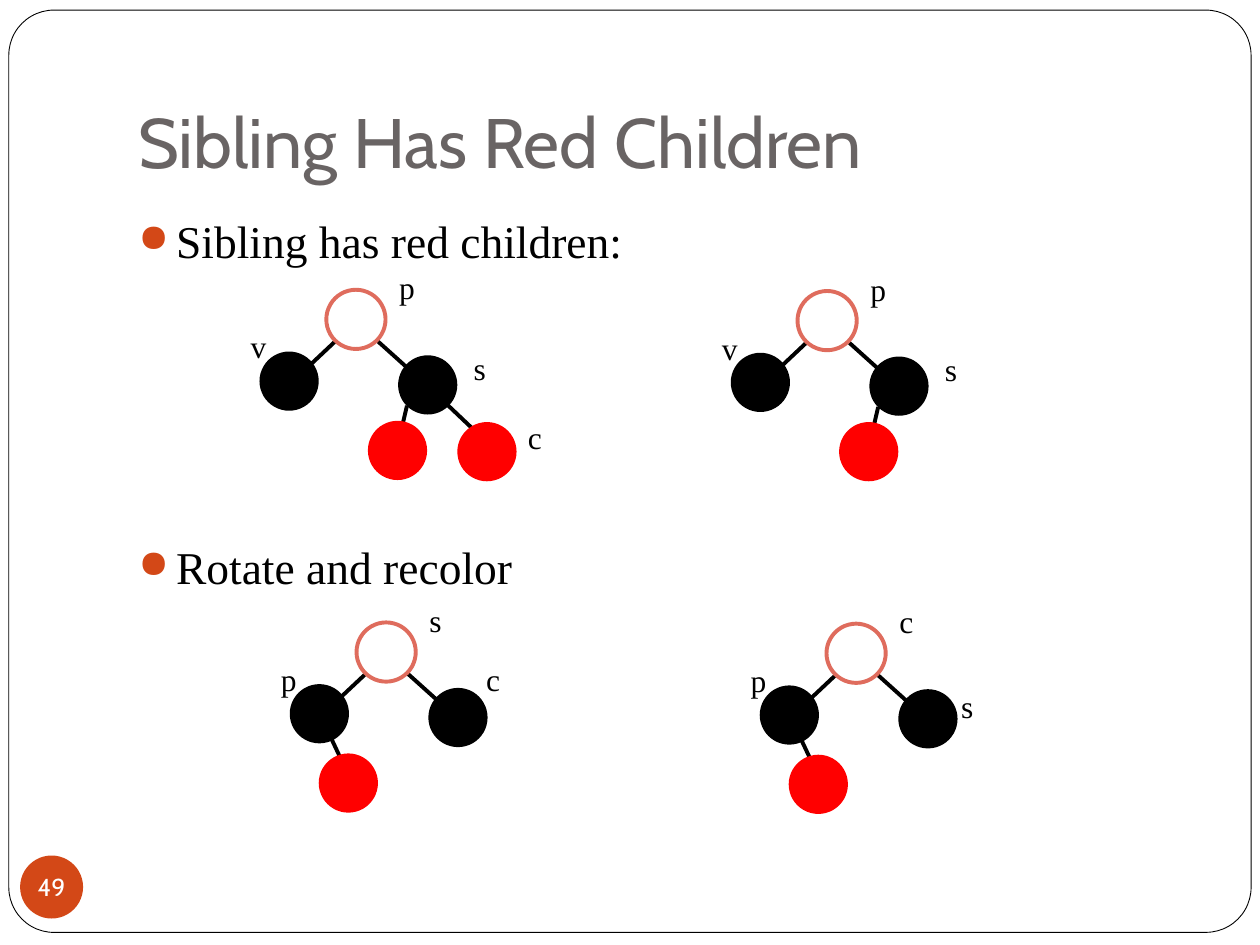
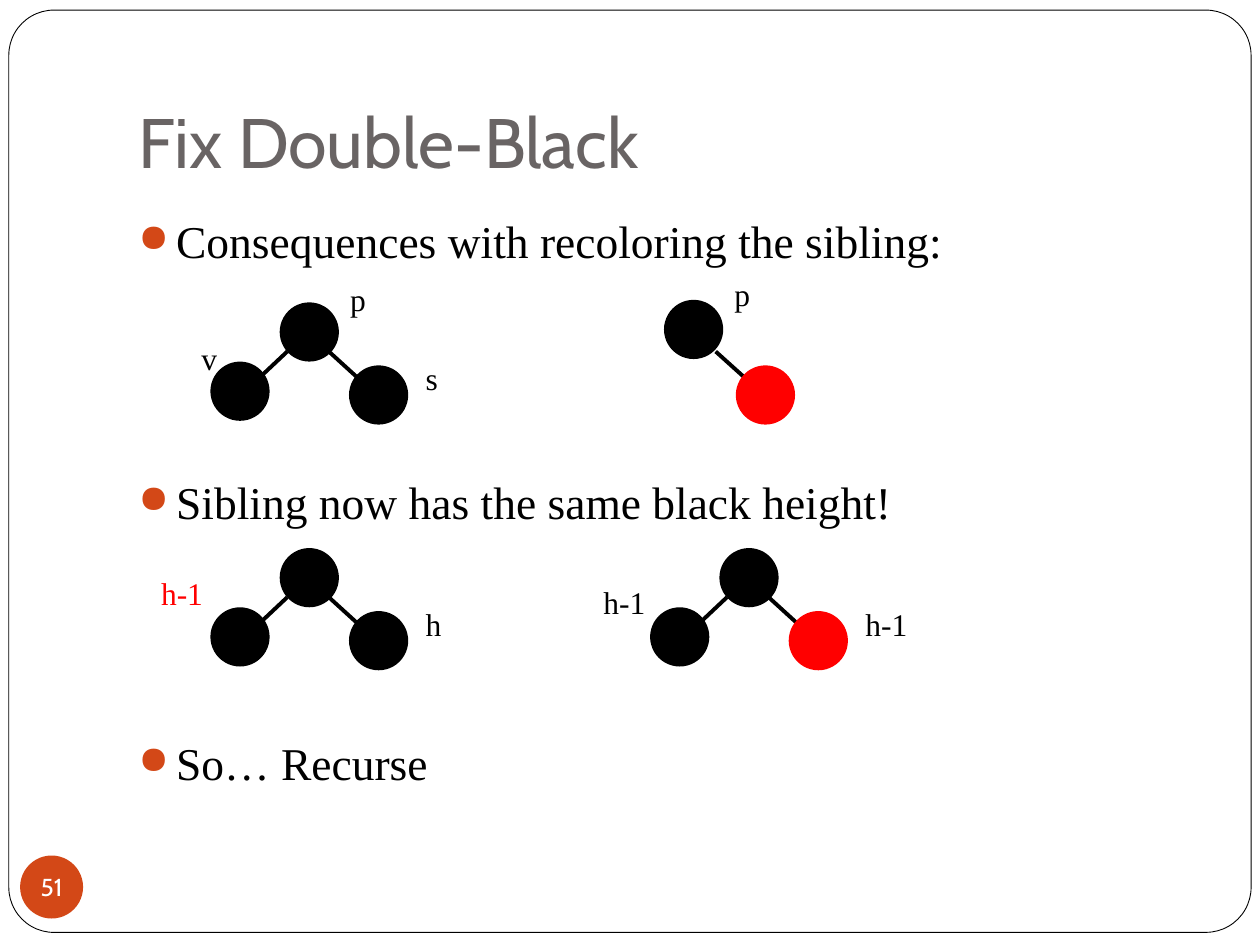
from lxml.etree import SubElement
from pptx import Presentation
from pptx.dml.color import RGBColor
from pptx.enum.shapes import MSO_CONNECTOR, MSO_SHAPE
from pptx.enum.text import MSO_ANCHOR, PP_ALIGN
from pptx.oxml.ns import qn
from pptx.util import Inches, Pt

BLACK, RED, WHITE = "000000", "FF0000", "FFFFFF"
ACCENT, GREY, HOLLOW = "D34817", "696464", "DF6C5D"
HEADING_FONT, BODY_FONT = "Cabin", "Times New Roman"
NODE_SIZE = 0.47
BODY_GAP, BLANK_LINE = 5.8, 37.4

# Each place: node offset from the root, then the start and end of its edge
WIDE = {
    "root": ((0, 0), None),
    "left": ((-0.53, 0.49), ((0.07, 0.41), (-0.27, 0.73))),
    "right": ((0.57, 0.52), ((0.41, 0.41), (0.81, 0.77))),
    "left left": ((-0.3, 1.04), ((-0.3, 0.71), (-0.06, 1.22))),
    "right left": ((0.33, 1.04), ((0.64, 0.92), (0.57, 1.22))),
    "right right": ((1.04, 1.05), ((0.81, 0.77), (1.39, 1.32))),
}
NARROW = {
    "root": ((0, 0), None),
    "left": ((-0.55, 0.47), ((0.06, 0.39), (-0.28, 0.71))),
    "right": ((0.55, 0.5), ((0.39, 0.39), (0.73, 0.7))),
}


def color(value):
    return RGBColor.from_string(value)


def write(para, text, size=18, font=BODY_FONT, fill=BLACK, align=PP_ALIGN.LEFT):
    para.alignment = align
    span = para.add_run()
    span.text = text
    span.font.size = Pt(size)
    span.font.name = font
    span.font.color.rgb = color(fill)


class TreeDeck:
    def __init__(self):
        self.deck = Presentation()
        self.deck.slide_width, self.deck.slide_height = Inches(10), Inches(7.5)
        self.page = None

    def start_page(self, title, number):
        self.page = self.deck.slides.add_slide(self.deck.slide_layouts[6])
        frame = self.shape(MSO_SHAPE.ROUNDED_RECTANGLE, 0.07, 0.08, 9.86, 7.32, WHITE, BLACK, 0.5)
        frame.adjustments[0] = 0.049
        heading = self.text_box(1, 0.3, 8.5, 1.25)
        heading.vertical_anchor = MSO_ANCHOR.BOTTOM
        heading.margin_bottom = Inches(0.1)
        write(heading.paragraphs[0], title, size=40, font=HEADING_FONT, fill=GREY)
        badge = self.shape(MSO_SHAPE.OVAL, 0.16, 6.79, 0.5, 0.5, ACCENT).text_frame
        badge.margin_left = badge.margin_right = badge.margin_top = badge.margin_bottom = 0
        badge.word_wrap = False
        badge.vertical_anchor = MSO_ANCHOR.MIDDLE
        write(badge.paragraphs[0], number, size=14, font=HEADING_FONT, fill=WHITE,
              align=PP_ALIGN.CENTER)

    def shape(self, kind, x, y, width, height, fill=None, line=None, weight=2.25):
        shape = self.page.shapes.add_shape(kind, Inches(x), Inches(y), Inches(width), Inches(height))
        shape.shadow.inherit = False
        if fill:
            shape.fill.solid()
            shape.fill.fore_color.rgb = color(fill)
        else:
            shape.fill.background()
        if line:
            shape.line.color.rgb = color(line)
            shape.line.width = Pt(weight)
        else:
            shape.line.fill.background()
        return shape

    def text_box(self, x, y, width, height):
        box = self.page.shapes.add_textbox(Inches(x), Inches(y), Inches(width), Inches(height))
        box.text_frame.word_wrap = True
        return box.text_frame

    def bullets(self, items, blank_lines):
        body = self.text_box(1, 1.64, 8.5, 4.94)
        for index, item in enumerate(items):
            para = body.add_paragraph() if index else body.paragraphs[0]
            props = para._p.get_or_add_pPr()
            props.set("marL", str(Inches(0.3)))
            props.set("indent", str(Inches(-0.3)))
            tint = SubElement(props, qn("a:buClr"))
            SubElement(tint, qn("a:srgbClr")).set("val", ACCENT)
            SubElement(props, qn("a:buSzPct")).set("val", "85000")
            SubElement(props, qn("a:buChar")).set("char", "●")
            if index:
                para.space_before = Pt(BODY_GAP + blank_lines * BLANK_LINE)
            write(para, item, size=26)

    def edge(self, start, end):
        line = self.page.shapes.add_connector(MSO_CONNECTOR.STRAIGHT, *map(Inches, start + end))
        line.line.color.rgb = color(BLACK)
        line.line.width = Pt(2.25)
        SubElement(line._element.spPr, qn("a:effectLst"))

    def node(self, x, y, fill):
        hollow = fill == HOLLOW
        self.shape(MSO_SHAPE.OVAL, x, y, NODE_SIZE, NODE_SIZE,
                   None if hollow else fill, HOLLOW if hollow else None)

    def label(self, x, y, text, fill=BLACK):
        box = self.text_box(x, y, 0.42 if len(text) == 1 else 0.72, 0.4)
        write(box.paragraphs[0], text, fill=fill)

    def tree(self, x, y, places, nodes, labels):
        for place in nodes:
            if places[place][1]:
                self.edge(*((x + dx, y + dy) for dx, dy in places[place][1]))
        for place, fill in nodes.items():
            dx, dy = places[place][0]
            self.node(x + dx, y + dy, fill)
        for dx, dy, *content in labels:
            self.label(x + dx, y + dy, *content)


def main():
    show = TreeDeck()
    family = {"root": HOLLOW, "left": BLACK, "right": BLACK}
    rotated = family | {"left left": RED}

    show.start_page("Sibling Has Red Children", "49")
    show.bullets(["Sibling has red children:", "Rotate and recolor"], 4)
    before = [(-0.7, 0.25, "v"), (0.48, -0.22, "p"), (1.07, 0.42, "s")]
    show.tree(2.59, 2.3, WIDE, family | {"right left": RED, "right right": RED},
              before + [(1.5, 0.97, "c")])
    show.tree(6.33, 2.31, WIDE, family | {"right left": RED}, before)
    show.tree(2.83, 4.94, WIDE, rotated,
              [(-0.7, 0.25, "p"), (0.48, -0.22, "s"), (0.93, 0.25, "c")])
    show.tree(6.56, 4.95, WIDE, rotated,
              [(-0.7, 0.25, "p"), (0.48, -0.22, "c"), (0.97, 0.45, "s")])

    show.start_page("Fix Double-Black", "51")
    show.bullets(["Consequences with recoloring the sibling:",
                  "Sibling now has the same black height!", "So… Recurse"], 3)
    black_family = dict.fromkeys(family, BLACK)
    show.tree(2.22, 2.4, NARROW, black_family,
              [(-0.72, 0.24, "v"), (0.46, -0.23, "p"), (1.06, 0.4, "s")])
    show.tree(5.27, 2.38, WIDE, {"root": BLACK, "right": RED}, [(0.46, -0.25, "p")])
    show.tree(2.22, 4.35, NARROW, black_family,
              [(-1.04, 0.16, "h-1", RED), (1.06, 0.4, "h")])
    show.tree(5.71, 4.35, NARROW, black_family | {"right": RED},
              [(-1.02, 0.23, "h-1"), (1.06, 0.4, "h-1")])

    show.deck.save("out.pptx")


if __name__ == "__main__":
    main()
